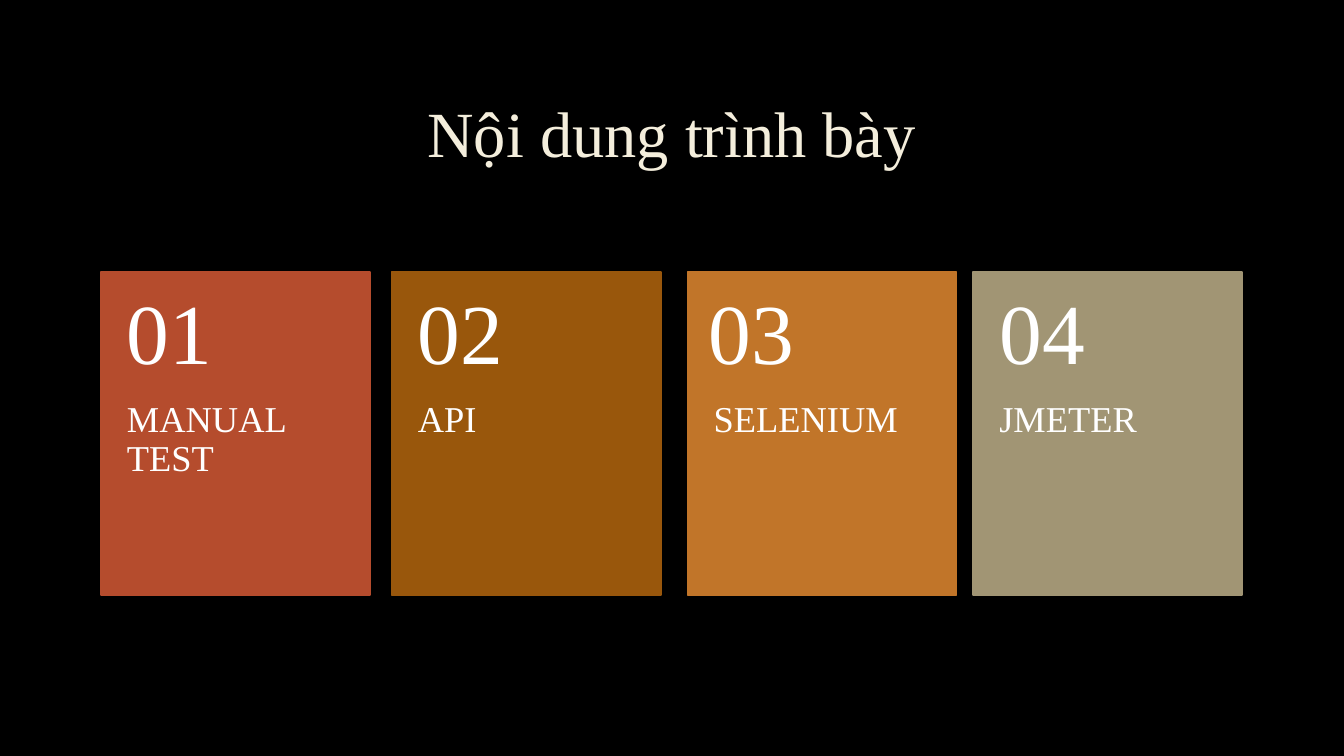
from pptx import Presentation
from pptx.dml.color import RGBColor as Color
from pptx.enum.shapes import MSO_SHAPE as Shape
from pptx.enum.text import MSO_ANCHOR as Anchor, PP_ALIGN as Align
from pptx.util import Inches, Pt

COLORS = {
    "background": "000000", "title": "F4EEDC", "text": "FFFFFF",
    "red": "B54C2D", "brown": "99570C", "orange": "C17529", "sand": "A19574",
}
# Label, card colour, sideways shift of the card and its label
TOPICS = [
    ("MANUAL TEST", "red", 0),
    ("API", "brown", 0),
    ("SELENIUM", "orange", 0.05),
    ("JMETER", "sand", 0),
]
LEFT, TOP, WIDTH, HEIGHT = 1, 2.7, 2.67, 3.2
COLUMN_STEP = 2.884
NUMBER_HEIGHT = 0.4 * HEIGHT


def color(name):
    return Color.from_string(COLORS[name])


def add_text(box, text, size, color_name, anchor, insets, align=Align.LEFT):
    """Add a text box; box is left, top, width, height and insets is left, top, right, bottom."""
    frame = slide.shapes.add_textbox(*map(Inches, box)).text_frame
    frame.word_wrap = True
    frame.vertical_anchor = anchor
    for side, inset in zip(("left", "top", "right", "bottom"), insets):
        setattr(frame, f"margin_{side}", Inches(inset))
    paragraph = frame.paragraphs[0]
    paragraph.text = text
    paragraph.alignment = align
    paragraph.line_spacing = 0.9
    font = paragraph.runs[0].font
    for name, value in {"name": "Times New Roman", "size": Pt(size)}.items():
        setattr(font, name, value)
    font.color.rgb = color(color_name)


presentation = Presentation()
presentation.slide_width = Inches(13.33)
presentation.slide_height = Inches(7.5)
slide = presentation.slides.add_slide(presentation.slide_layouts[6])
slide.background.fill.solid()
slide.background.fill.fore_color.rgb = color("background")

add_text((LEFT, 0.67, 11.32, 1.38), "Nội dung trình bày", 46, "title",
         Anchor.MIDDLE, (0.1, 0.05, 0.1, 0.05), Align.CENTER)

for index, (label, card_color, shift) in enumerate(TOPICS):
    column = LEFT + index * COLUMN_STEP
    card_left = column + shift
    card = slide.shapes.add_shape(
        Shape.RECTANGLE, *map(Inches, (card_left, TOP, WIDTH, HEIGHT)))
    card.shadow.inherit = False
    card.fill.solid()
    card.fill.fore_color.rgb = color(card_color)
    card.line.color.rgb = color(card_color)
    card.line.width = Pt(1.25)

    add_text((card_left, TOP + NUMBER_HEIGHT, WIDTH, HEIGHT - NUMBER_HEIGHT),
             label, 26, "text", Anchor.TOP, (0.26, 0, 0.26, 0.36))
    add_text((column, TOP, WIDTH, NUMBER_HEIGHT),
             f"{index + 1:02}", 61, "text", Anchor.MIDDLE, (0.26, 0.18, 0.26, 0.18))

presentation.save("out.pptx")
